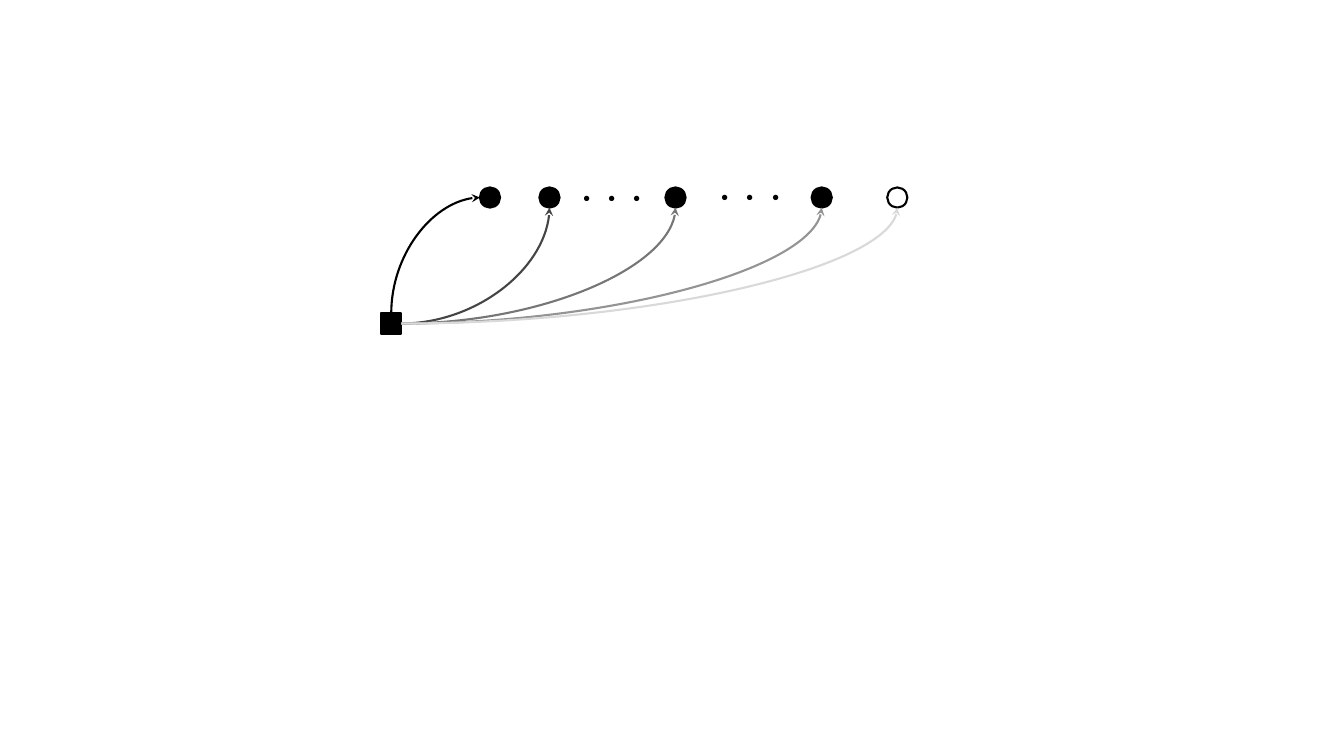
from lxml import etree
from pptx import Presentation
from pptx.dml.color import RGBColor
from pptx.enum.shapes import MSO_CONNECTOR, MSO_SHAPE
from pptx.enum.text import MSO_AUTO_SIZE
from pptx.oxml.ns import qn
from pptx.util import Inches, Pt

CIRCLE = MSO_SHAPE.FLOWCHART_CONNECTOR
SQUARE = MSO_SHAPE.FLOWCHART_PROCESS
CURVE = MSO_CONNECTOR.CURVE
FIT_SHAPE = MSO_AUTO_SIZE.SHAPE_TO_FIT_TEXT
FONT = "Noto Sans CJK SC"
COLORS = {
    "black": "000000",
    "white": "FFFFFF",
    "second": "454545",
    "third": "767676",
    "fourth": "949494",
    "last": "D9D9D9",
}
NODE_SIZE = 0.2
RADIUS = NODE_SIZE / 2
LINE_WIDTH = Pt(1.5)
TARGETS = [
    (1.57, "second", "black"),
    (2.82, "third", "black"),
    (4.27, "fourth", "black"),
    (5.02, "last", "white"),
]
FIRST_TARGET = 0.98
ELLIPSES = [(1.82, -0.09), (3.19, -0.1)]


def color(name):
    """Return the named palette colour."""
    return RGBColor.from_string(COLORS[name])


def add_node(slide, kind, center_x, center_y, fill):
    """Add a small outlined node around its centre."""
    node = slide.shapes.add_shape(
        kind, Inches(center_x - RADIUS), Inches(center_y - RADIUS),
        Inches(NODE_SIZE), Inches(NODE_SIZE))
    node.shadow.inherit = False
    node.fill.solid()
    node.fill.fore_color.rgb = color(fill)
    node.line.color.rgb = color("black")
    node.line.width = LINE_WIDTH


def add_curve(slide, begin, end, tone, upward=False):
    """Add a quarter-curve arrow that leaves sideways, or upward if asked."""
    if upward:
        middle_x, middle_y = (begin[0] + end[0]) / 2, (begin[1] + end[1]) / 2
        half_width = abs(begin[1] - end[1]) / 2
        half_height = abs(begin[0] - end[0]) / 2
        begin = (middle_x + half_width, middle_y + half_height)
        end = (middle_x - half_width, middle_y - half_height)
    curve = slide.shapes.add_connector(
        CURVE, *(Inches(value) for value in (*begin, *end)))
    curve.line.color.rgb = color(tone)
    curve.line.width = LINE_WIDTH
    properties = curve.element.spPr
    properties.find(qn("a:prstGeom")).set("prst", "curvedConnector2")
    if upward:
        properties.find(qn("a:xfrm")).set("rot", "5400000")
    arrowhead = etree.SubElement(properties.find(qn("a:ln")), qn("a:tailEnd"))
    arrowhead.set("type", "stealth")
    etree.SubElement(properties, qn("a:effectLst"))


def add_ellipsis(slide, left, top):
    """Add three dots standing for the skipped nodes."""
    box = slide.shapes.add_textbox(
        Inches(left), Inches(top), Inches(1), Inches(0.4))
    frame = box.text_frame
    frame.word_wrap = True
    frame.auto_size = FIT_SHAPE
    run = frame.paragraphs[0].add_run()
    run.text = "···"
    run.font.size = Pt(18)
    run.font.color.rgb = color("black")
    run.font.name = FONT
    east_asian = etree.SubElement(run.font._element, qn("a:ea"))
    east_asian.set("typeface", FONT)


def add_fan(slide, left, top, height):
    """Draw the source square, the row of nodes and the arrows between them."""
    source_x, source_y = left + RADIUS, top + height - RADIUS
    row_y = top + RADIUS
    first_x = left + FIRST_TARGET + RADIUS
    add_node(slide, SQUARE, source_x, source_y, "black")
    add_node(slide, CIRCLE, first_x, row_y, "black")
    add_curve(slide, (source_x, source_y - RADIUS),
              (first_x - RADIUS, row_y), "black", upward=True)
    for offset, tone, fill in TARGETS:
        target_x = left + offset + RADIUS
        add_node(slide, CIRCLE, target_x, row_y, fill)
        add_curve(slide, (source_x + RADIUS, source_y),
                  (target_x, row_y + RADIUS), tone)
    for offset_x, offset_y in ELLIPSES:
        add_ellipsis(slide, left + offset_x, top + offset_y)


def main():
    """Build the slide and save it."""
    presentation = Presentation()
    presentation.slide_width = Inches(13.33)
    presentation.slide_height = Inches(7.5)
    slide = presentation.slides.add_slide(presentation.slide_layouts[6])
    add_fan(slide, 3.78, 1.86, 1.45)
    presentation.save("out.pptx")


if __name__ == "__main__":
    main()
